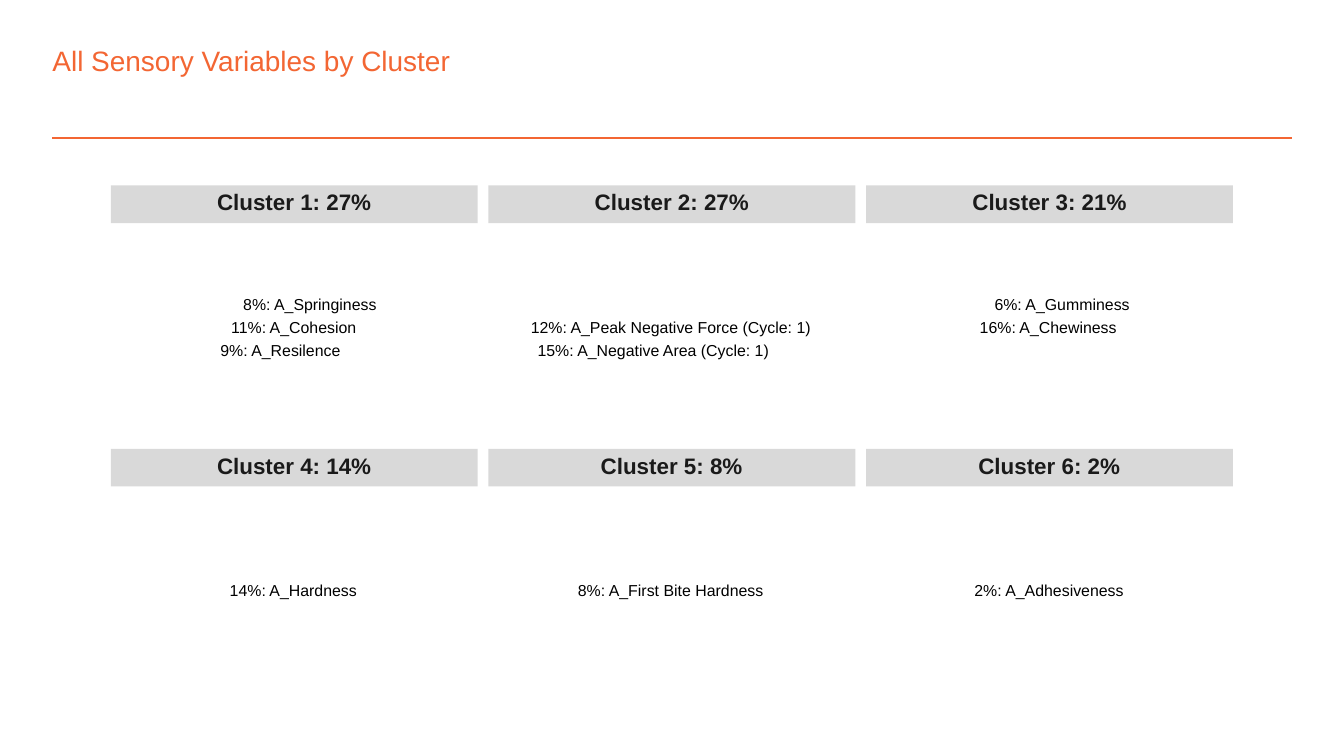
from dataclasses import dataclass

from lxml import etree
from pptx import Presentation
from pptx.dml.color import RGBColor
from pptx.enum.shapes import MSO_CONNECTOR, MSO_SHAPE
from pptx.enum.text import MSO_ANCHOR, MSO_AUTO_SIZE, PP_ALIGN
from pptx.oxml.ns import qn
from pptx.util import Inches, Pt


@dataclass(frozen=True)
class Theme:
    font: str = "Arial"
    accent: str = "F36633"
    paper: str = "FFFFFF"
    band: str = "D9D9D9"
    heading: str = "1A1A1A"
    ink: str = "000000"
    title_size: float = 15
    heading_size: float = 12
    label_size: float = 8.5


THEME = Theme()

SLIDE_WIDTH = 10
SLIDE_HEIGHT = SLIDE_WIDTH * 9 / 16
MARGIN = 0.39
BAND_WIDTH, BAND_HEIGHT, BAND_GAP = 2.73, 0.28, 0.08
FIRST_ROW, ROW_STEP = 1.38, 1.96
HEADING_HEIGHT, LABEL_HEIGHT = 0.13, 0.11
COLUMNS = 3

# Heading, heading width
CLUSTERS = [
    ("Cluster 1: 27%", 1.15), ("Cluster 2: 27%", 1.15), ("Cluster 3: 21%", 1.15),
    ("Cluster 4: 14%", 1.15), ("Cluster 5: 8%", 1.06), ("Cluster 6: 2%", 1.06),
]

# Top of each line of words: left, width, text
WORD_LINES = {
    2.22: [(1.81, 1.0, "8%: A_Springiness"), (7.4, 1.01, "6%: A_Gumminess")],
    2.39: [(1.72, 0.95, "11%: A_Cohesion"),
           (3.95, 2.1, "12%: A_Peak Negative Force (Cycle: 1)"),
           (7.29, 1.03, "16%: A_Chewiness")],
    2.56: [(1.64, 0.9, "9%: A_Resilence"),
           (4.0, 1.74, "15%: A_Negative Area (Cycle: 1)")],
    4.35: [(1.71, 0.96, "14%: A_Hardness"),
           (4.3, 1.39, "8%: A_First Bite Hardness"),
           (7.25, 1.12, "2%: A_Adhesiveness")],
}


def color(value):
    return RGBColor.from_string(value)


def write_text(frame, text, *, size, ink, bold=False, anchor=MSO_ANCHOR.MIDDLE,
               wrap=False, spacing=None):
    frame.margin_left = frame.margin_right = 0
    frame.margin_top = frame.margin_bottom = 0
    frame.auto_size = MSO_AUTO_SIZE.NONE
    frame.word_wrap = wrap
    frame.vertical_anchor = anchor
    para = frame.paragraphs[0]
    para.alignment = PP_ALIGN.LEFT
    para.line_spacing = spacing
    span = para.add_run()
    span.text = text
    span.font.name = THEME.font
    span.font.size = Pt(size)
    span.font.bold = bold
    span.font.color.rgb = color(ink)


def add_label(page, text, left, top, width, height, *, size, **style):
    box = page.shapes.add_textbox(Inches(left), Inches(top), Inches(width), Inches(height))
    write_text(box.text_frame, text, size=size, spacing=Pt(size), **style)


def add_panel(page, left, top, width, height, fill, line=None):
    panel = page.shapes.add_shape(MSO_SHAPE.RECTANGLE, Inches(left), Inches(top),
                                  Inches(width), Inches(height))
    panel.shadow.inherit = False
    panel.fill.solid()
    panel.fill.fore_color.rgb = color(fill)
    if line:
        panel.line.color.rgb = color(line)
        panel.line.width = Pt(0.75)
    else:
        panel.line.fill.background()


def add_title(page, text):
    title = page.shapes.title
    title.left, title.top = Inches(MARGIN), Inches(0.32)
    title.width, title.height = Inches(8.29), Inches(0.25)
    write_text(title.text_frame, text, size=THEME.title_size, ink=THEME.accent,
               anchor=MSO_ANCHOR.TOP, wrap=True)


def add_rule(page, top):
    rule = page.shapes.add_connector(MSO_CONNECTOR.STRAIGHT, Inches(MARGIN), Inches(top),
                                     Inches(SLIDE_WIDTH - MARGIN), Inches(top))
    rule.line.color.rgb = color(THEME.accent)
    rule.line.width = Pt(1)
    etree.SubElement(rule._element.spPr, qn("a:effectLst"))


def add_cluster_heading(page, index, text, text_width):
    """Draw a band in the centred grid, with its heading in the middle."""
    row, column = divmod(index, COLUMNS)
    center = SLIDE_WIDTH / 2 + (column - 1) * (BAND_WIDTH + BAND_GAP)
    top = FIRST_ROW + row * ROW_STEP
    add_panel(page, center - BAND_WIDTH / 2, top, BAND_WIDTH, BAND_HEIGHT, THEME.band)
    add_label(page, text, center - text_width / 2, top + (BAND_HEIGHT - HEADING_HEIGHT) / 2,
              text_width, HEADING_HEIGHT, size=THEME.heading_size, ink=THEME.heading,
              bold=True)


def main():
    deck = Presentation()
    deck.slide_width, deck.slide_height = Inches(SLIDE_WIDTH), Inches(SLIDE_HEIGHT)
    page = deck.slides.add_slide(deck.slide_layouts[5])

    add_rule(page, 1.03)
    add_title(page, "All Sensory Variables by Cluster")
    add_panel(page, 0.75, 1.3, 8.5, 4, THEME.paper, line=THEME.paper)
    for top, words in WORD_LINES.items():
        for left, width, text in words:
            add_label(page, text, left, top, width, LABEL_HEIGHT,
                      size=THEME.label_size, ink=THEME.ink)
    for index, (text, text_width) in enumerate(CLUSTERS):
        add_cluster_heading(page, index, text, text_width)

    deck.save("out.pptx")


if __name__ == "__main__":
    main()
